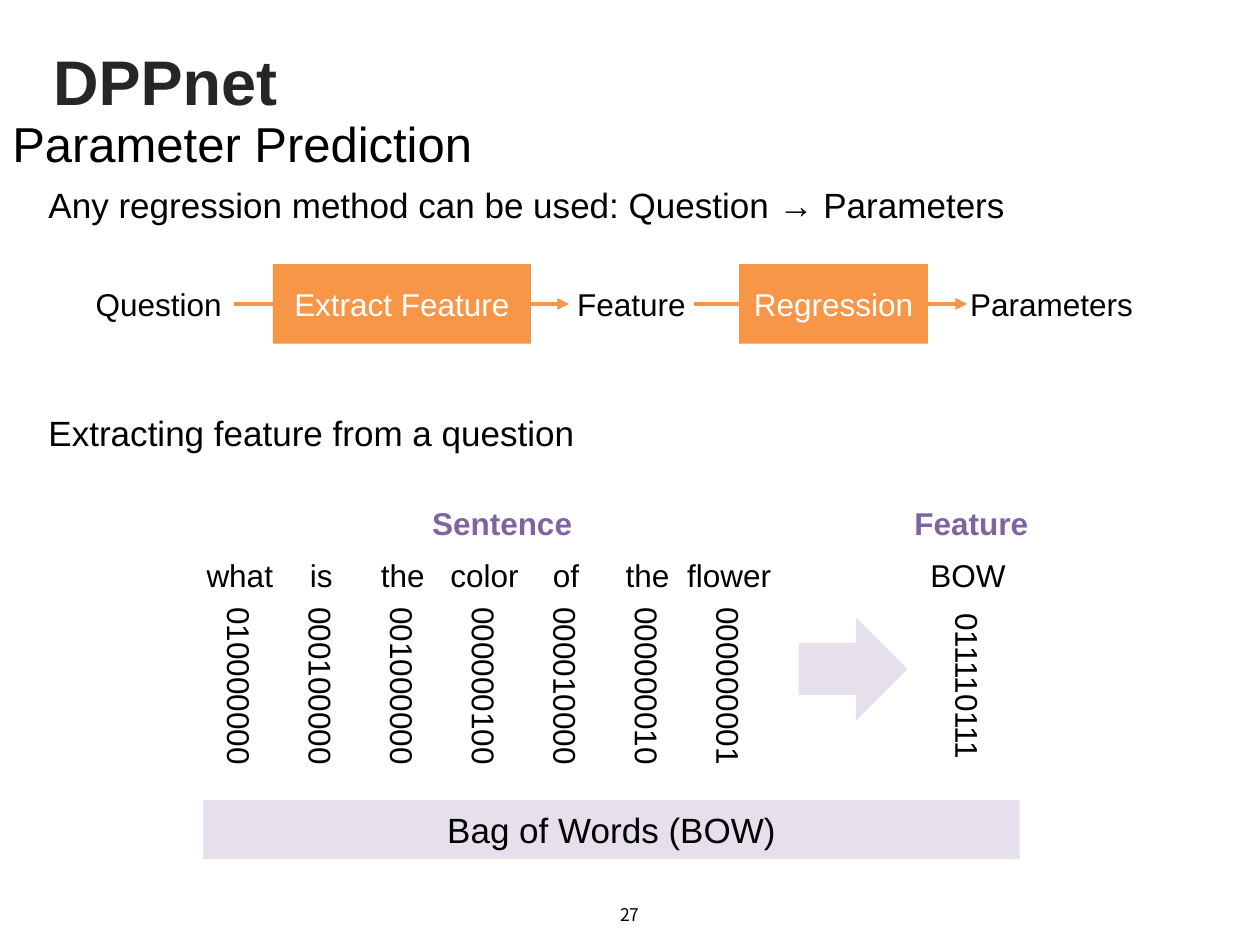
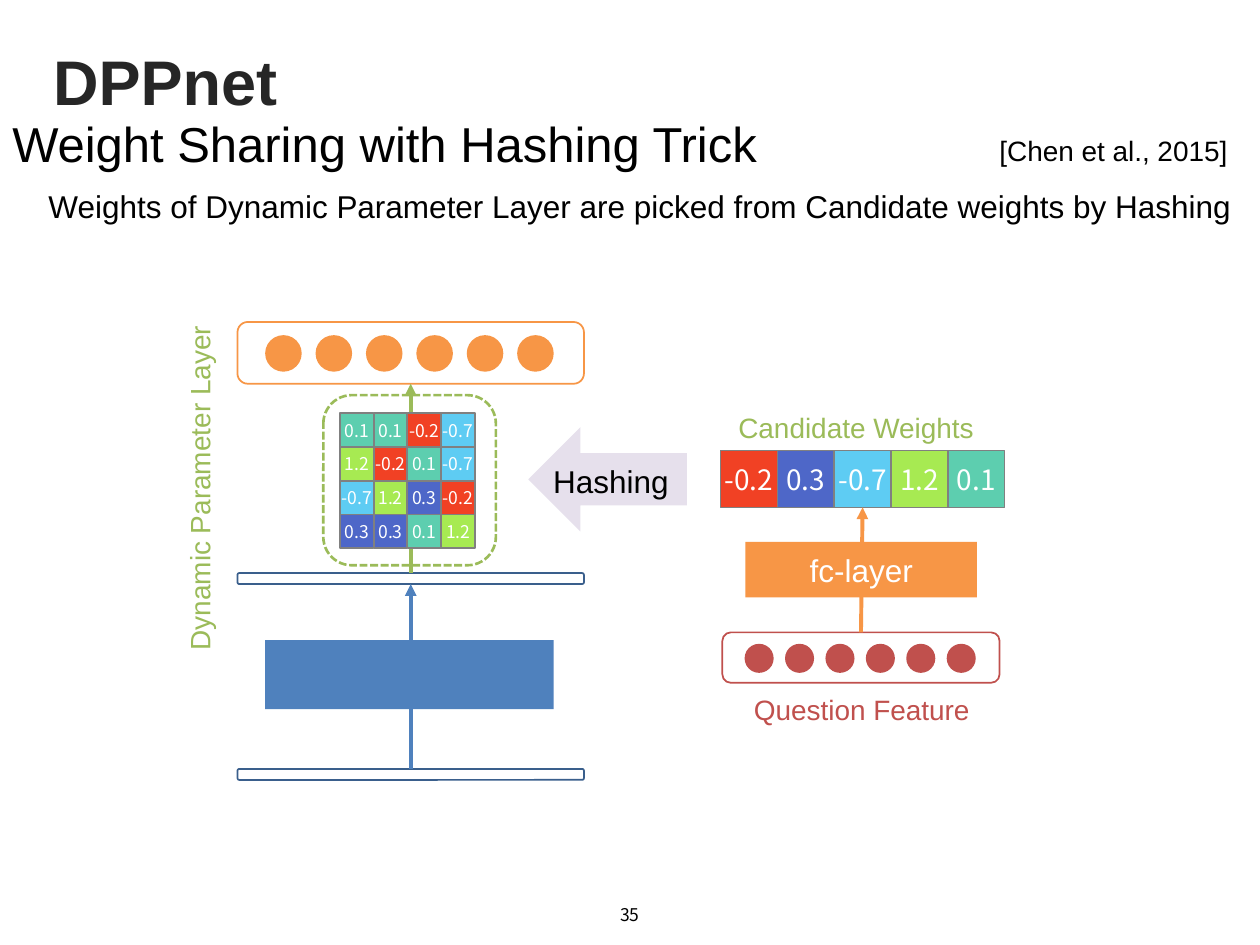
"""Build two slides on parameter prediction and weight sharing in DPPnet."""
from dataclasses import dataclass
from typing import NamedTuple

from lxml.etree import SubElement
from pptx import Presentation
from pptx.dml.color import RGBColor
from pptx.enum.dml import MSO_LINE
from pptx.enum.shapes import MSO_CONNECTOR, MSO_SHAPE
from pptx.enum.text import MSO_ANCHOR, MSO_AUTO_SIZE, PP_ALIGN
from pptx.oxml.ns import qn
from pptx.util import Pt

COLORS = {
    "black": "000000", "white": "FFFFFF", "title": "262626",
    "orange": "F79646", "purple": "8064A2", "lavender": "E6E0EC",
    "blue": "4F81BD", "navy": "3A5F8C", "green": "9BBB59", "red": "C0504D",
    "grey": "808080",
}
WEIGHT_COLORS = {
    "-0.2": "F14124", "0.3": "4E67C8", "-0.7": "5ECCF3", "1.2": "A7EA52", "0.1": "5DCEAF",
}
NUMBER_FONT = "Noto Sans CJK KR"
TOP, LEFT, BOTTOM, RIGHT = range(4)


class Box(NamedTuple):
    """Position and size in points."""
    left: float
    top: float
    width: float
    height: float

    def lengths(self) -> list:
        """Return the four values as lengths."""
        return [Pt(value) for value in self]


@dataclass(frozen=True)
class TextStyle:
    """Look of a single line of text."""
    size: float = 18
    color: str = "black"
    bold: bool = False
    align: PP_ALIGN = PP_ALIGN.CENTER
    font: str = "Arial"
    inset: float = 7.2
    wrap: bool = True


@dataclass(frozen=True)
class DotRow:
    """A rounded frame holding equally spaced dots."""
    frame: Box
    first_left: float
    top: float
    size: float
    step: float
    color: str
    count: int = 6


LABEL = TextStyle(inset=0)
LABEL_WHITE = TextStyle(color="white")
LABEL_PURPLE = TextStyle(color="purple", bold=True)
HEADING = TextStyle(36, "title", True, PP_ALIGN.LEFT)
SUBTITLE = TextStyle(28, align=PP_ALIGN.LEFT)
STATEMENT = TextStyle(20, align=PP_ALIGN.LEFT)

FLOW_LABELS = [("Question", 47.5, 86.4), ("Feature", 325.2, 71.3), ("Parameters", 552.7, 96.5)]
FLOW_STEPS = [("Extract Feature", 156, 147.4), ("Regression", 422.4, 107.8)]
FLOW_TOP, FLOW_HEIGHT = 151, 45.4

SENTENCE = [
    ("what", "010000000"), ("is", "000100000"), ("the", "001000000"),
    ("color", "000000100"), ("of", "000010000"), ("the", "000000010"),
    ("flower", "000000001"),
]
WORD_START, WORD_STEP, BOW_CENTER = 137, 46.6, 553.2
VECTOR_TOP, BOW_VECTOR_TOP = 347, 350.6

OUTPUT_ROW = DotRow(Box(135.7, 184, 198, 35.3), 151.5, 191.5, 20.9, 28.8, "orange")
QUESTION_ROW = DotRow(Box(412.8, 361.4, 158.4, 28.8), 425.5, 367.9, 16.6, 23.1, "red")
CANDIDATES = ["-0.2", "0.3", "-0.7", "1.2", "0.1"]
WEIGHT_MATRIX = [
    ["0.1", "0.1", "-0.2", "-0.7"],
    ["1.2", "-0.2", "0.1", "-0.7"],
    ["-0.7", "1.2", "0.3", "-0.2"],
    ["0.3", "0.3", "0.1", "1.2"],
]


def rgb(color: str) -> RGBColor:
    """Look up a colour name, or read a hex string."""
    return RGBColor.from_string(COLORS.get(color, color))


def write(shape, text: str, style: TextStyle) -> None:
    """Put one formatted line of text in a shape."""
    frame = shape.text_frame
    inset = Pt(style.inset)
    frame_format = {
        "word_wrap": style.wrap, "auto_size": MSO_AUTO_SIZE.NONE,
        "vertical_anchor": MSO_ANCHOR.MIDDLE,
        "margin_left": inset, "margin_right": inset,
        "margin_top": min(inset, Pt(3.6)), "margin_bottom": min(inset, Pt(3.6)),
    }
    for name, value in frame_format.items():
        setattr(frame, name, value)
    paragraph = frame.paragraphs[0]
    paragraph.alignment = style.align
    run = paragraph.add_run()
    run.text = text
    font_format = {"name": style.font, "size": Pt(style.size), "bold": style.bold}
    for name, value in font_format.items():
        setattr(run.font, name, value)
    run.font.color.rgb = rgb(style.color)


def add_text(slide, box: Box, text: str, style: TextStyle):
    """Add a text box."""
    shape = slide.shapes.add_textbox(*box.lengths())
    write(shape, text, style)
    return shape


def add_figure(slide, kind: MSO_SHAPE, box: Box, fill: str = "", line: str = "",
               width: float = 1, text: str = "", style: TextStyle = LABEL):
    """Add a preset shape with optional fill, outline and text."""
    shape = slide.shapes.add_shape(kind, *box.lengths())
    shape.shadow.inherit = False
    if fill:
        shape.fill.solid()
        shape.fill.fore_color.rgb = rgb(fill)
    else:
        shape.fill.background()
    if line:
        shape.line.color.rgb = rgb(line)
        shape.line.width = Pt(width)
    else:
        shape.line.fill.background()
    if text:
        write(shape, text, style)
    return shape


def add_arrow(slide, start, start_side: int, end, end_side: int, color: str) -> None:
    """Join two shapes with a straight arrow."""
    connector = slide.shapes.add_connector(MSO_CONNECTOR.STRAIGHT, 0, 0, 0, 0)
    connector.begin_connect(start, start_side)
    connector.end_connect(end, end_side)
    connector.line.color.rgb = rgb(color)
    connector.line.width = Pt(2.25)
    SubElement(connector.line._get_or_add_ln(), qn("a:tailEnd"), type="triangle")
    SubElement(connector.element.spPr, qn("a:effectLst"))


def add_dot_row(slide, row: DotRow):
    """Draw a row of dots and return its frame."""
    for index in range(row.count):
        dot = Box(row.first_left + index * row.step, row.top, row.size, row.size)
        add_figure(slide, MSO_SHAPE.OVAL, dot, fill=row.color)
    return add_figure(slide, MSO_SHAPE.ROUNDED_RECTANGLE, row.frame, line=row.color)


def add_weights(slide, rows: list, left: float, top: float, side: float, size: float) -> list:
    """Draw a grid of coloured weights and return its cells."""
    style = TextStyle(size, "white", font=NUMBER_FONT, inset=0, wrap=False)
    return [
        add_figure(slide, MSO_SHAPE.RECTANGLE,
                   Box(left + column * side, top + row * side, side, side),
                   WEIGHT_COLORS[weight], "grey", text=weight, style=style)
        for row, weights in enumerate(rows) for column, weight in enumerate(weights)
    ]


def start_slide(presentation, subtitle: str, number: int):
    """Add a slide with the shared title, subtitle and page number."""
    slide = presentation.slides.add_slide(presentation.slide_layouts[5])
    title = slide.shapes.title
    title.left, title.top, title.width, title.height = Box(23.2, 20.2, 675.4, 51.8).lengths()
    write(title, "DPPnet", HEADING)
    add_text(slide, Box(0, 58, 720, 47.5), subtitle, SUBTITLE)
    add_text(slide, Box(276.1, 508.3, 167.8, 28.8), str(number),
             TextStyle(10, font=NUMBER_FONT))
    return slide


def add_word_column(slide, center: float, word: str, vector: str, vector_top: float) -> None:
    """Draw a word above its vertical vector."""
    add_text(slide, Box(center - 30, 314, 60, 28.8), word, LABEL)
    shape = add_text(slide, Box(center - 10.8, vector_top, 21.6, 91), vector,
                     TextStyle(inset=0, wrap=False))
    shape.element.txBody.bodyPr.set("vert", "eaVert")


def build_prediction(presentation) -> None:
    """Build the parameter prediction slide."""
    slide = start_slide(presentation, "Parameter Prediction", 27)
    add_text(slide, Box(20.6, 100.1, 699, 33.8),
             "Any regression method can be used: Question → Parameters", STATEMENT)
    labels = [add_text(slide, Box(left, FLOW_TOP, width, FLOW_HEIGHT), text, LABEL)
              for text, left, width in FLOW_LABELS]
    for start, end in zip(labels, labels[1:]):
        add_arrow(slide, start, RIGHT, end, LEFT, "orange")
    for text, left, width in FLOW_STEPS:
        add_figure(slide, MSO_SHAPE.RECTANGLE, Box(left, FLOW_TOP, width, FLOW_HEIGHT),
                   "orange", text=text, style=LABEL_WHITE)

    add_text(slide, Box(20.6, 230.4, 699, 33.8), "Extracting feature from a question", STATEMENT)
    for text, left in (("Sentence", 219.2), ("Feature", 487.3)):
        add_text(slide, Box(left, 290.2, 135.4, 17.3), text, LABEL_PURPLE)
    for index, (word, vector) in enumerate(SENTENCE):
        add_word_column(slide, WORD_START + index * WORD_STEP, word, vector, VECTOR_TOP)
    add_word_column(slide, BOW_CENTER, "BOW", "011110111", BOW_VECTOR_TOP)
    add_figure(slide, MSO_SHAPE.RIGHT_ARROW, Box(456.3, 352.8, 62.4, 59), "lavender")
    add_figure(slide, MSO_SHAPE.RECTANGLE, Box(116.2, 457.2, 466.5, 33.8), "lavender",
               text="Bag of Words (BOW)", style=TextStyle(20))


def build_hashing(presentation) -> None:
    """Build the weight sharing slide."""
    slide = start_slide(presentation, "Weight Sharing with Hashing Trick", 35)
    add_text(slide, Box(535.8, 71.3, 172.8, 28.8), "[Chen et al., 2015]",
             TextStyle(16, align=PP_ALIGN.RIGHT))
    add_text(slide, Box(20.6, 100.8, 699, 33.8),
             "Weights of Dynamic Parameter Layer are picked from Candidate weights by Hashing",
             TextStyle(align=PP_ALIGN.LEFT, wrap=False))

    input_bar, hidden_bar = (
        add_figure(slide, MSO_SHAPE.ROUNDED_RECTANGLE, Box(135.7, top, 198, 6.3), line="navy")
        for top in (439.4, 327.5)
    )
    add_figure(slide, MSO_SHAPE.RECTANGLE, Box(151.5, 365.8, 164.9, 39.5), "blue")
    output = add_dot_row(slide, OUTPUT_ROW)
    add_arrow(slide, input_bar, TOP, hidden_bar, BOTTOM, "blue")
    add_arrow(slide, hidden_bar, TOP, output, BOTTOM, "green")
    add_weights(slide, WEIGHT_MATRIX, 194.2, 236.1, 19.3, 10)
    layer = add_figure(slide, MSO_SHAPE.ROUNDED_RECTANGLE, Box(184.8, 225.8, 98.6, 97.2),
                       line="green", width=1.5)
    layer.line.dash_style = MSO_LINE.SQUARE_DOT
    layer_label = add_text(slide, Box(2.9, 264.2, 221.8, 29.5), "Dynamic Parameter Layer",
                           TextStyle(16, "green"))
    layer_label.rotation = 270

    add_figure(slide, MSO_SHAPE.LEFT_ARROW, Box(301.9, 244.1, 90.7, 59.6), "lavender")
    add_text(slide, Box(303.8, 258.5, 90.7, 32.4), "Hashing", LABEL)

    candidates = add_weights(slide, [CANDIDATES], 411.8, 257.5, 32.45, 16)
    question = add_dot_row(slide, QUESTION_ROW)
    add_arrow(slide, question, TOP, candidates[len(candidates) // 2], BOTTOM, "orange")
    add_figure(slide, MSO_SHAPE.RECTANGLE, Box(426, 309.6, 132.3, 31.8), "orange",
               text="fc-layer", style=LABEL_WHITE)
    add_text(slide, Box(413.6, 229.7, 151.2, 29.5), "Candidate Weights", TextStyle(16, "green"))
    add_text(slide, Box(416.9, 390.7, 151.2, 29.5), "Question Feature", TextStyle(16, "red"))


def main() -> None:
    """Create and save the presentation."""
    presentation = Presentation()
    presentation.slide_width, presentation.slide_height = Pt(720), Pt(540)
    build_prediction(presentation)
    build_hashing(presentation)
    presentation.save("out.pptx")


if __name__ == "__main__":
    main()
